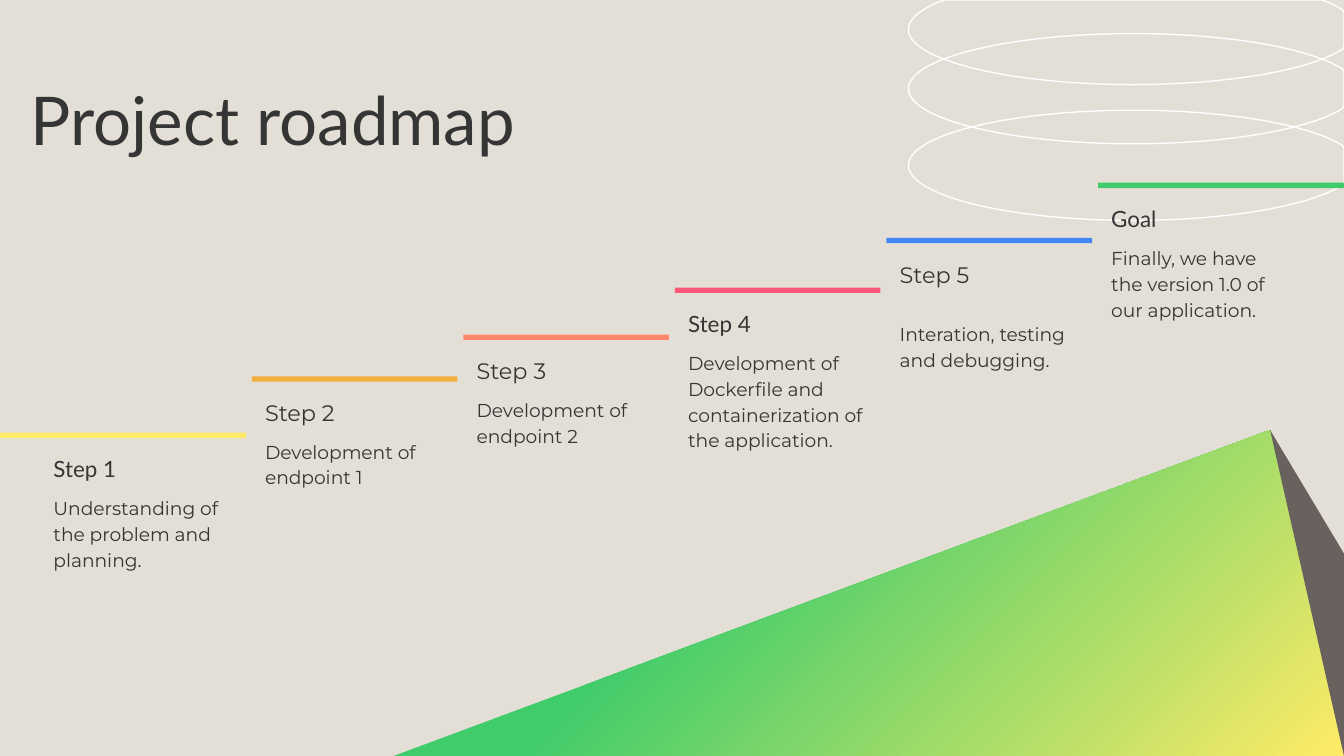
from copy import deepcopy
from math import cos, radians, sin

from pptx import Presentation
from pptx.dml.color import RGBColor
from pptx.enum.shapes import MSO_SHAPE
from pptx.util import Inches, Pt

WIDE = 10
HIGH = WIDE * 9 / 16
INK, BACK, STONE, WHITE = "353535", "E3DFD6", "69615E", "FFFFFF"
GREEN, YELLOW = "41CC6B", "FFEB67"
LATO, MONT = "Lato", "Montserrat"

# head, head font, text, gap above the text in points, bar top, bar colour
STEPS = [
    ("Step 1", LATO, "Understanding of the problem and planning.", 6, 3.22, YELLOW),
    ("Step 2", MONT, "Development of endpoint 1", 6, 2.8, "F0B03B"),
    ("Step 3", MONT, "Development of endpoint 2", 6, 2.49, "FF866D"),
    ("Step 4", LATO, "Development of Dockerfile and containerization of the application.",
     6, 2.14, "FF5777"),
    ("Step 5", MONT, "Interation, testing and debugging.", 17, 1.77, "4285F4"),
    ("Goal", LATO, "Finally, we have the version 1.0 of our application.", 6, 1.36, GREEN),
]
LEFT, LAST, BAR = 0.3, 8.17, 1.53
PITCH = (LAST - LEFT) / (len(STEPS) - 1)

RINGS = [0.22, 0.66, 1.23]  # centre heights
MID, RX, RY = 8.43, 1.67, 0.41

PEAK = (9.45, 3.2)
FRONT = [PEAK, (WIDE, HIGH), (2.93, HIGH)]
SIDE = [PEAK, (WIDE, HIGH), (WIDE, 4.12)]
BLEND = [(0, GREEN), (0.35, GREEN), (1, YELLOW)]

deck = Presentation()
deck.slide_width, deck.slide_height = Inches(WIDE), Inches(HIGH)
slide = deck.slides.add_slide(deck.slide_layouts[6])


def rgb(code):
    return RGBColor.from_string(code)


def paint(shape, fill=None, line=None):
    shape.shadow.inherit = False
    if fill:
        shape.fill.solid()
        shape.fill.fore_color.rgb = rgb(fill)
    else:
        shape.fill.background()
    if line:
        shape.line.color.rgb = rgb(line)
        shape.line.width = Pt(0.75)
    else:
        shape.line.fill.background()


def outline(points, **look):
    dots = [(Inches(x), Inches(y)) for x, y in points]
    pen = slide.shapes.build_freeform(*dots[0])
    pen.add_line_segments(dots[1:], close=True)
    shape = pen.convert_to_shape()
    paint(shape, **look)
    return shape


def ring(mid):
    """Ellipse cut off at the slide's top and right edges."""
    turns = [radians(a) for a in range(0, 360, 3)]
    points = [(min(MID + RX * cos(t), WIDE), max(mid + RY * sin(t), 0)) for t in turns]
    outline(points, line=WHITE)


def blend(shape, stops):
    """Gradient running from top left to bottom right."""
    shape.fill.gradient()
    shape.fill.gradient_angle = 315
    first = shape.element.xpath(".//a:gs")[0]
    for _ in stops[2:]:
        first.addnext(deepcopy(first))
    for stop, (place, code) in zip(shape.fill.gradient_stops, stops):
        stop.position = place
        stop.color.rgb = rgb(code)


def frame(left, top, width, height):
    box = slide.shapes.add_textbox(*map(Inches, (left, top, width, height))).text_frame
    box.word_wrap = True
    box.margin_left = box.margin_right = box.margin_top = box.margin_bottom = Inches(0.1)
    return box


def write(para, text, size, font=MONT, space=1.15, before=0, after=0):
    para.line_spacing = space
    para.space_before, para.space_after = Pt(before), Pt(after)
    run = para.add_run()
    run.text = text
    run.font.size, run.font.name = Pt(size), font
    run.font.color.rgb = rgb(INK)


slide.background.fill.solid()
slide.background.fill.fore_color.rgb = rgb(BACK)

for mid in RINGS:
    ring(mid)
blend(outline(FRONT), BLEND)
outline(SIDE, fill=STONE)

title = frame(0.13, 0.55, 5.91, 0.75)
write(title.paragraphs[0], "Project roadmap", 36, font=LATO, space=0.9)

for i, (head, font, text, gap, top, code) in enumerate(STEPS):
    left = LEFT + i * PITCH
    # The first and last bars run on to the slide's edges.
    start = 0 if i == 0 else left
    end = WIDE if i == len(STEPS) - 1 else left + BAR
    bar = slide.shapes.add_shape(
        MSO_SHAPE.RECTANGLE, *map(Inches, (start, top, end - start, 0.04)))
    paint(bar, fill=code)
    box = frame(left, top + 0.04, BAR, 1.3)
    write(box.paragraphs[0], head, 12, font=font)
    write(box.add_paragraph(), text, 10, before=gap, after=6)

deck.save("out.pptx")
